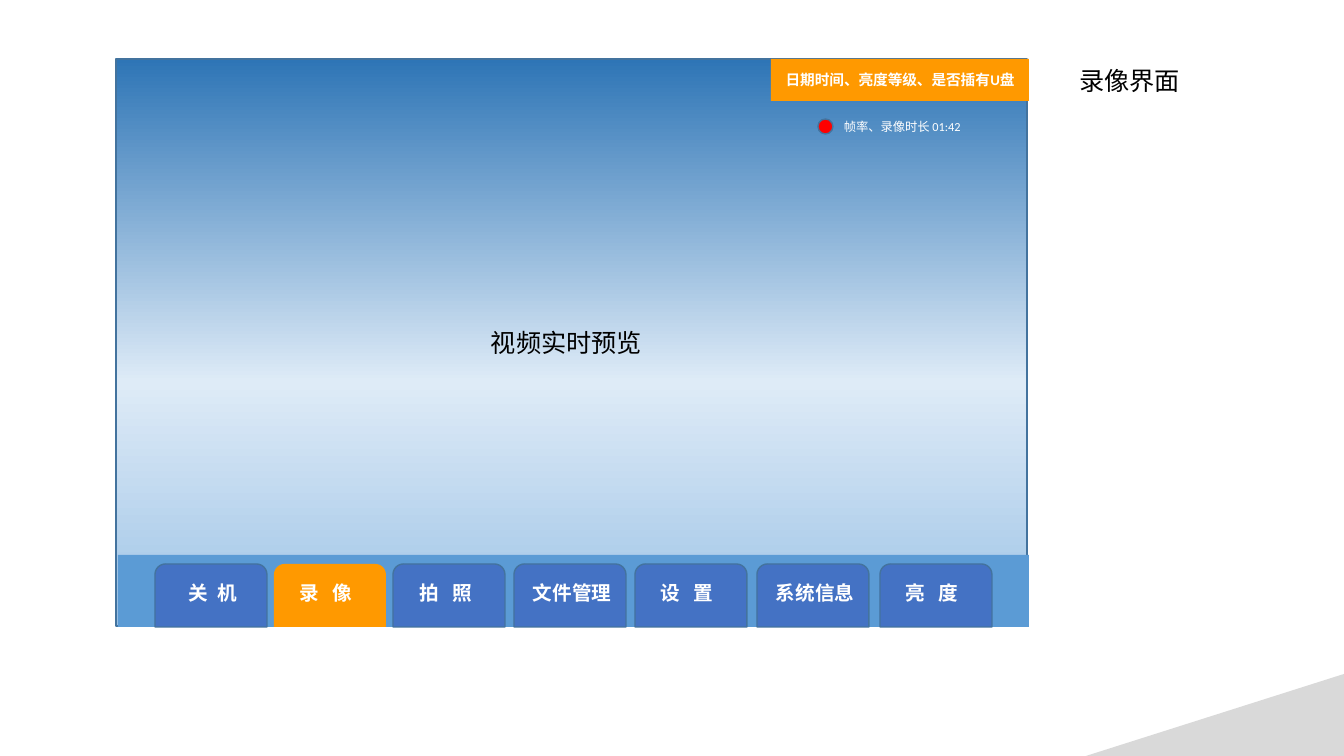
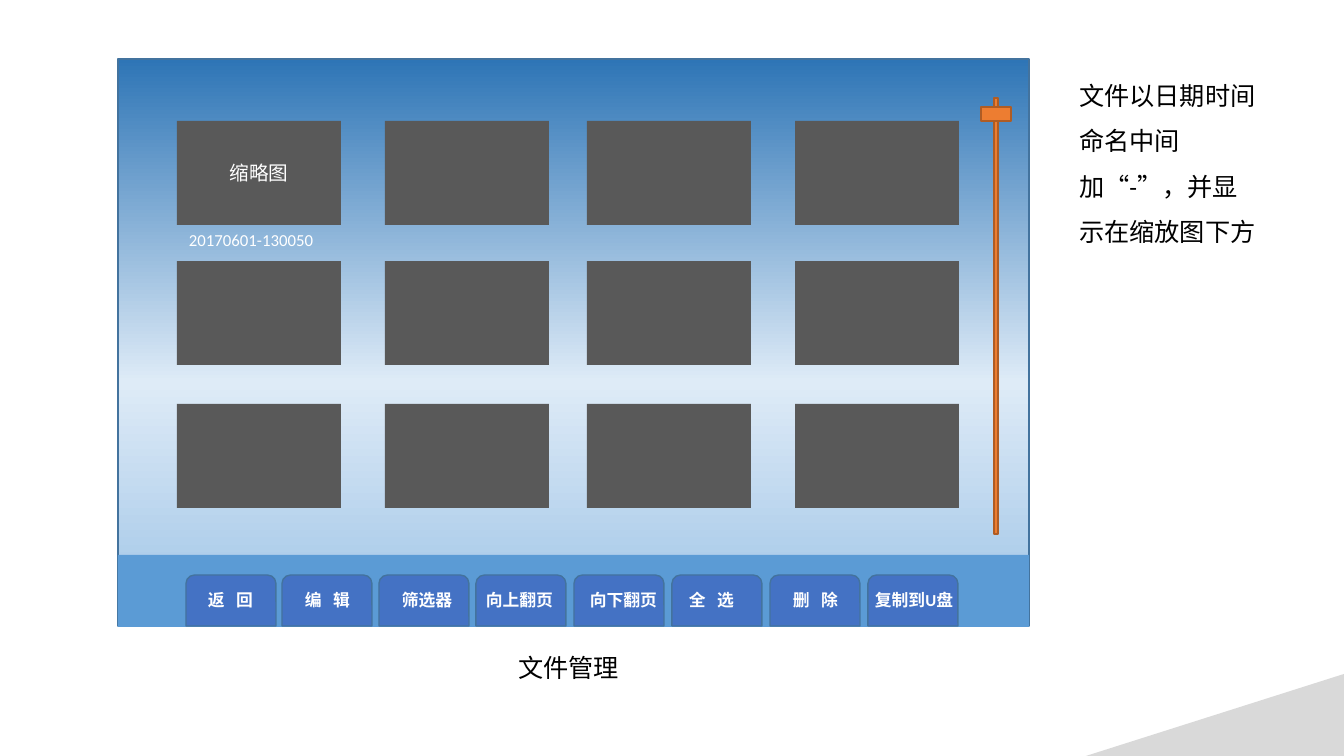
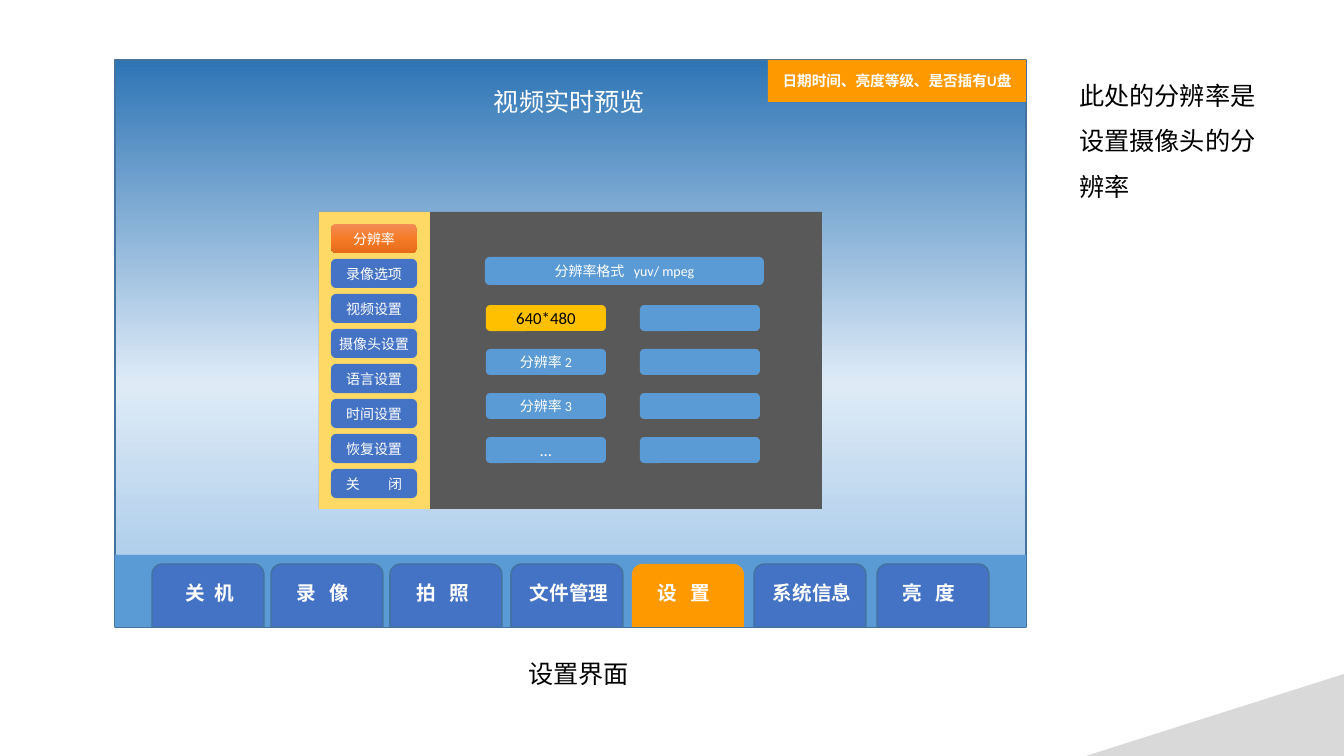
from dataclasses import dataclass
from itertools import product

from lxml import etree
from pptx import Presentation
from pptx.dml.color import RGBColor
from pptx.enum import shapes, text
from pptx.oxml import ns
from pptx.util import Emu, Pt

PRESET = shapes.MSO_SHAPE
PIXEL = 914400 / 100.8


@dataclass(frozen=True)
class Theme:
    font: str = "Calibri"
    black: str = "000000"
    white: str = "FFFFFF"
    corner: str = "D9D9D9"
    bar: str = "5B9BD5"
    tab: str = "4472C4"
    edge: str = "43739E"
    active: str = "FF9900"
    record: str = "FF0000"
    dark: str = "595959"
    slider: str = "ED7D31"
    slider_edge: str = "AF5C24"
    sidebar: str = "FFD966"
    chosen: str = "FFC000"
    sky: tuple = ((0, "2E75B6"), (57, "DEEBF7"), (100, "9DC3E6"))
    glow: tuple = ((0, "F18C57"), (50, "F67B28"), (100, "E56C19"))
    heading: float = 18
    tab_size: float = 14
    small_tab_size: float = 12
    status_size: float = 10.5
    button_size: float = 10
    timer_size: float = 8.8


THEME = Theme()

# Tab: wording, left edge, label inset, label width, extra gap in points
MAIN_TABS = (
    ("关 机", 155, 24, 63, 3.2),
    ("录 像", 274, 16, 63, 6.4),
    ("拍 照", 393, 17, 63, 6.4),
    ("文件管理", 514, 9, 88, 0),
    ("设 置", 635, 16, 63, 6.4),
    ("系统信息", 757, 9, 88, 0),
    ("亮 度", 880, 16, 63, 6.4),
)
FILE_TABS = (
    ("返 回", 186, 12, 51, 5.4),
    ("编 辑", 282, 13, 51, 5.4),
    ("筛选器", 379, 13, 61, 0),
    ("向上翻页", 476, 0, 80, 0),
    ("向下翻页", 574, 6, 77, 0),
    ("全 选", 672, 7, 57, 5.4),
    ("删 除", 770, 13, 51, 5.4),
    ("复制到U盘", 868, -3, 84, 0),
)
MENU = ("分辨率", "录像选项", "视频设置", "摄像头设置",
        "语言设置", "时间设置", "恢复设置", "关 闭")


def px(*lengths):
    return [Emu(round(length * PIXEL)) for length in lengths]


def rgb(colour):
    return RGBColor.from_string(colour)


# Text
def write(frame, wording, size, colour=THEME.white, bold=False,
          align=text.PP_ALIGN.LEFT, gap=0):
    """Write one paragraph; gap widens its first space by that many points."""
    paragraph = frame.paragraphs[0]
    paragraph.alignment = align
    font = paragraph.font
    font.name, font.size, font.bold = THEME.font, Pt(size), bold
    font.color.rgb = rgb(colour)
    for part in wording.partition(" ") if gap else (wording,):
        run = paragraph.add_run()
        run.text = part
        if part == " ":
            run.font._element.set("spc", str(round(gap * 100)))
    return paragraph


def label(slide, box, wording, size, wrap=True, **style):
    frame = slide.shapes.add_textbox(*px(*box)).text_frame
    frame.word_wrap = wrap
    frame.auto_size = text.MSO_AUTO_SIZE.NONE
    write(frame, wording, size, **style)


def fill_placeholder(holder, box, wording):
    holder.left, holder.top, holder.width, holder.height = px(*box)
    frame = holder.text_frame
    frame.word_wrap = True
    frame.auto_size = text.MSO_AUTO_SIZE.NONE
    frame.vertical_anchor = text.MSO_ANCHOR.TOP
    return write(frame, wording, THEME.heading, THEME.black)


def side_note(slide, wording):
    paragraph = fill_placeholder(slide.placeholders[1], (1069, 60, 200, 185), wording)
    paragraph.line_spacing = 1.5
    paragraph.space_before = Pt(0)
    properties = paragraph._p.get_or_add_pPr()
    properties.set("marL", "0")
    properties.set("indent", "0")
    bullet = etree.Element(ns.qn("a:buNone"))
    properties.find(ns.qn("a:defRPr")).addprevious(bullet)


# Shapes
def paint_gradient(shape, stops):
    shape.fill.gradient()
    shape.fill.gradient_angle = 270
    stop_list = shape._element.spPr.find(".//" + ns.qn("a:gsLst"))
    for stop in list(stop_list):
        stop_list.remove(stop)
    for percent, colour in stops:
        stop = etree.SubElement(stop_list, ns.qn("a:gs"), pos=str(percent * 1000))
        etree.SubElement(stop, ns.qn("a:srgbClr"), val=colour)


def block(slide, preset, box, fill, edge=None):
    shape = slide.shapes.add_shape(preset, *px(*box))
    shape.shadow.inherit = False
    if isinstance(fill, tuple):
        paint_gradient(shape, fill)
    else:
        shape.fill.solid()
        shape.fill.fore_color.rgb = rgb(fill)
    if edge:
        shape.line.color.rgb = rgb(edge)
        shape.line.width = Pt(1)
    else:
        shape.line.fill.background()
    return shape


def button(slide, box, fill, wording="", size=THEME.button_size,
           preset=PRESET.ROUNDED_RECTANGLE, **style):
    frame = block(slide, preset, box, fill).text_frame
    frame.margin_left = frame.margin_right = 0
    frame.margin_top = frame.margin_bottom = 0
    frame.vertical_anchor = text.MSO_ANCHOR.MIDDLE
    if wording:
        write(frame, wording, size, align=text.PP_ALIGN.CENTER, **style)


# Parts shared by the screens
def new_slide(deck, layout, title, title_box):
    slide = deck.slides.add_slide(deck.slide_layouts[layout])
    fill_placeholder(slide.shapes.title, title_box, title)
    corner = block(slide, PRESET.RIGHT_TRIANGLE, (1086, 674, 258, 82), THEME.corner)
    corner._element.spPr.find(ns.qn("a:xfrm")).set("flipH", "1")
    return slide


def screen(slide, left, top, bar_left):
    block(slide, PRESET.RECTANGLE, (left, top, 911, 567), THEME.sky, THEME.edge)
    block(slide, PRESET.RECTANGLE, (bar_left, 555, 911, 72), THEME.bar)


def status(slide, left, top):
    button(slide, (left, top, 258, 42), THEME.active,
           "日期时间、亮度等级、是否插有U盘", THEME.status_size,
           PRESET.RECTANGLE, bold=True)


def tab_row(slide, tabs, top, width, height, label_top, size, active=None, shift=0):
    for wording, left, inset, label_width, gap in tabs:
        left += shift
        chosen = wording == active
        block(slide, PRESET.ROUND_2_SAME_RECTANGLE, (left, top, width, height),
              THEME.active if chosen else THEME.tab,
              None if chosen else THEME.edge)
        label(slide, (left + inset, label_top, label_width, 38), wording, size,
              wrap=False, bold=True, gap=gap)


def main_tabs(slide, active, shift=0):
    tab_row(slide, MAIN_TABS, 564, 112, 63, 576, THEME.tab_size, active, shift)


# Slides
def recording(deck):
    slide = new_slide(deck, 5, "录像界面", (1069, 60, 125, 40))
    screen(slide, 116, 59, 118)
    label(slide, (481, 322, 182, 40), "视频实时预览", THEME.heading, colour=THEME.black)
    status(slide, 771, 59)
    block(slide, PRESET.OVAL, (818, 119, 15, 15), THEME.record, THEME.edge)
    label(slide, (834, 114, 159, 24), "帧率、录像时长 01:42", THEME.timer_size)
    main_tabs(slide, "录 像")


def files(deck):
    slide = new_slide(deck, 1, "文件管理", (508, 647, 130, 40))
    side_note(slide, "文件以日期时间命名中间加“-”，并显示在缩放图下方")
    screen(slide, 118, 59, 118)
    # Thumbnails
    for top, left in product((121, 261, 404), (177, 385, 587, 795)):
        first = (top, left) == (121, 177)
        button(slide, (left, top, 164, 104), THEME.dark, "缩略图" if first else "",
               THEME.tab_size, PRESET.RECTANGLE)
    label(slide, (179, 225, 158, 30), "20170601-130050", THEME.small_tab_size)
    # Scroll bar
    for box in ((994, 98, 4, 436), (981, 107, 30, 14)):
        block(slide, PRESET.RECTANGLE, box, THEME.slider, THEME.slider_edge)
    tab_row(slide, FILE_TABS, 575, 90, 51, 585, THEME.small_tab_size)


def settings(deck):
    slide = new_slide(deck, 1, "设置界面", (518, 653, 125, 40))
    side_note(slide, "此处的分辨率是设置摄像头的分辨率")
    screen(slide, 115, 60, 115)
    label(slide, (484, 81, 182, 40), "视频实时预览", THEME.heading)
    status(slide, 768, 60)
    main_tabs(slide, "设 置", shift=-3)
    # Settings menu
    block(slide, PRESET.RECTANGLE, (319, 212, 503, 297), THEME.dark)
    block(slide, PRESET.RECTANGLE, (319, 212, 111, 297), THEME.sidebar)
    for row, wording in enumerate(MENU):
        button(slide, (331, 224 + 35 * row, 86, 29),
               THEME.tab if row else THEME.glow, wording,
               gap=18 if " " in wording else 0)
    # Resolution choices
    button(slide, (485, 257, 279, 28), THEME.bar, "分辨率格式 yuv/ mpeg", gap=4.5)
    choices = (("640*480", 12, THEME.chosen, THEME.black),
               ("分辨率 2", 10, THEME.bar, THEME.white),
               ("分辨率 3", 10, THEME.bar, THEME.white),
               ("...", 12, THEME.bar, THEME.white))
    for row, (wording, size, fill, colour) in enumerate(choices):
        top = 305 + 44 * row
        button(slide, (486, top, 120, 26), fill, wording, size, colour=colour)
        button(slide, (640, top, 120, 26), THEME.bar)


def main():
    deck = Presentation()
    deck.slide_width, deck.slide_height = px(1344, 756)
    recording(deck)
    files(deck)
    settings(deck)
    deck.save("out.pptx")


main()
